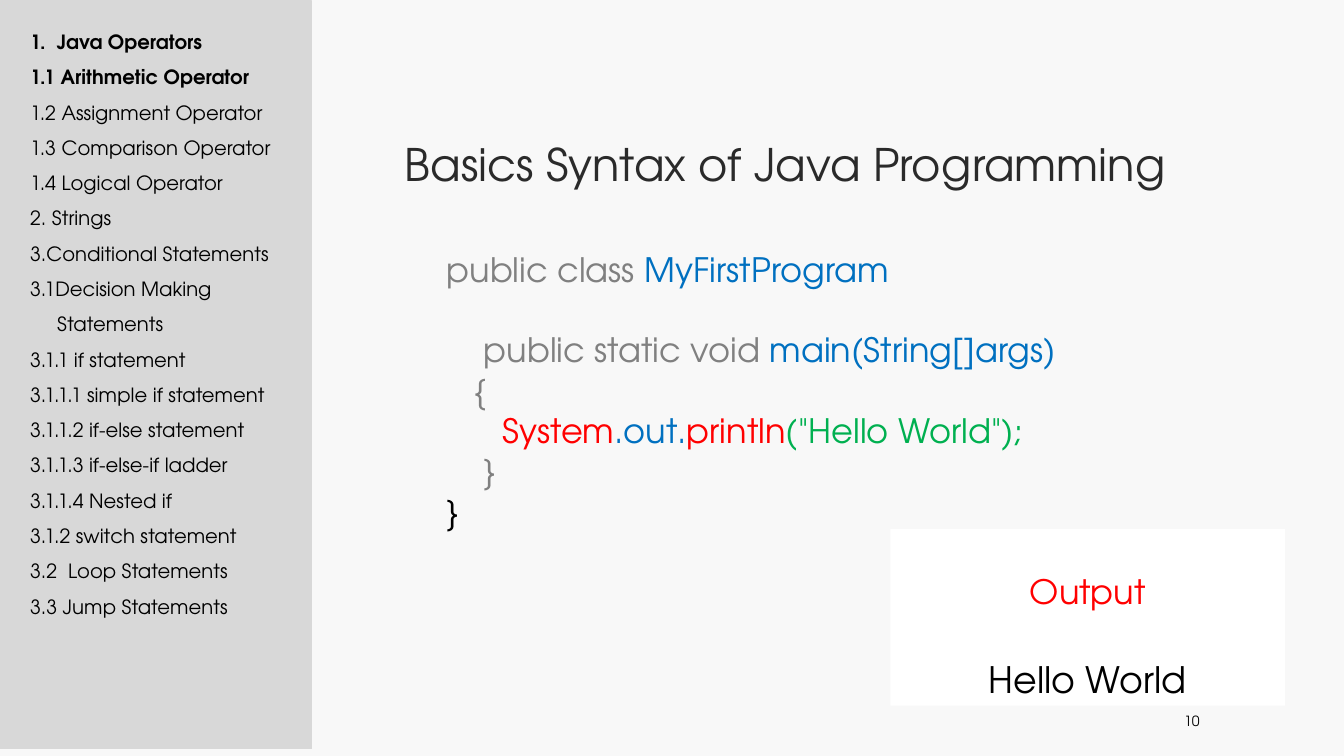
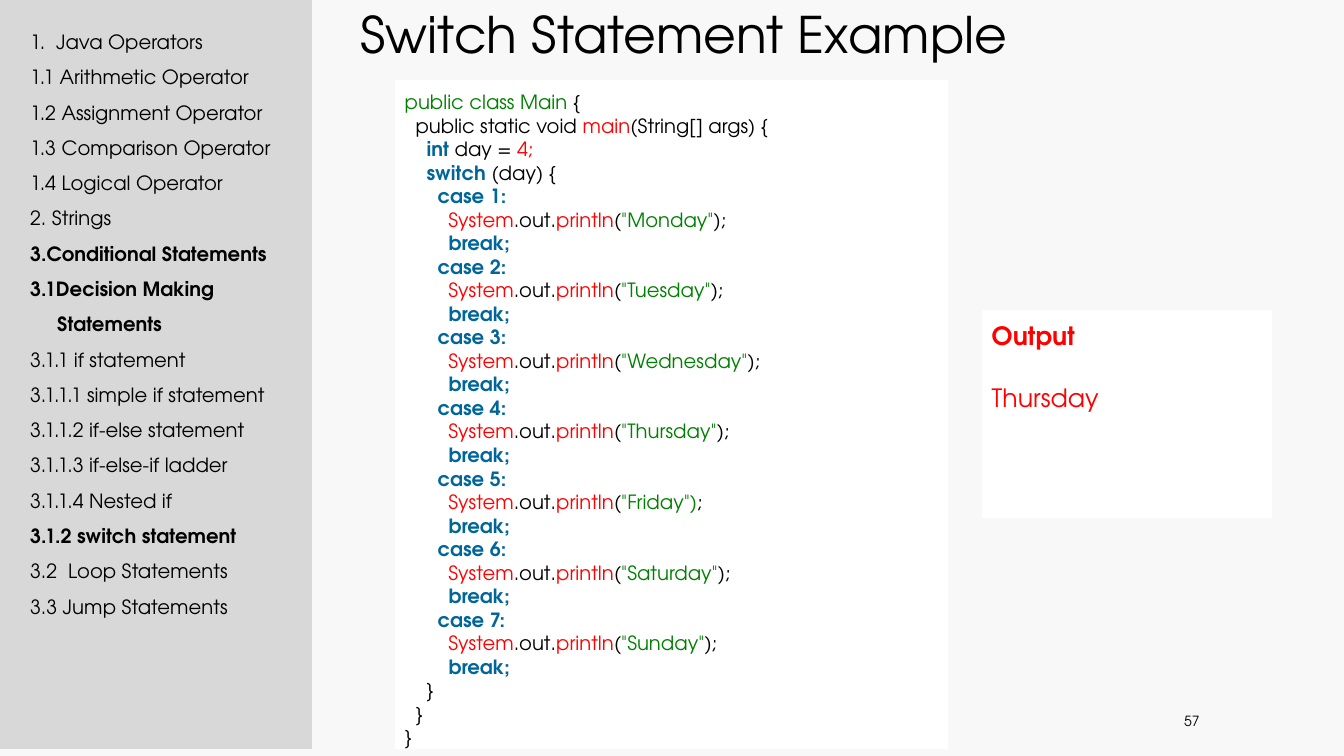
"""Builds two Java lesson slides with a shared topic sidebar."""
from dataclasses import dataclass

from pptx import Presentation
from pptx.dml.color import RGBColor
from pptx.enum.shapes import MSO_SHAPE
from pptx.enum.text import MSO_ANCHOR, MSO_AUTO_SIZE, PP_ALIGN
from pptx.util import Pt


@dataclass(frozen=True)
class Theme:
    font: str = "TeX Gyre Adventor"
    page: str = "F8F8F8"
    sidebar: str = "D8D8D8"
    panel: str = "FFFFFF"
    ink: str = "000000"
    heading: str = "2A2A2A"
    muted: str = "808080"
    blue: str = "0070C0"
    keyword: str = "006699"
    red: str = "FF0000"
    green: str = "00B050"
    string: str = "008000"
    small: float = 10
    body: float = 14
    result: float = 18
    code: float = 24
    output: float = 26
    title: float = 32
    big_title: float = 36


T = Theme()
TOPICS = [
    "1.  Java Operators", "1.1 Arithmetic Operator", "1.2 Assignment Operator",
    "1.3 Comparison Operator", "1.4 Logical Operator", "2. Strings",
    "3.Conditional Statements", "3.1Decision Making", "Statements",
    "3.1.1 if statement", "3.1.1.1 simple if statement",
    "3.1.1.2 if-else statement", "3.1.1.3 if-else-if ladder",
    "3.1.1.4 Nested if", "3.1.2 switch statement", "3.2  Loop Statements",
    "3.3 Jump Statements",
]
DAYS = [
    ('"Monday"', ");"), ('"Tuesday"', ");"), ('"Wednesday"', ");"),
    ('"Thursday"', ");"), ('"Friday")', ";"), ('"Saturday"', ");"),
    ('"Sunday"', ");"),
]


class Deck:
    """Holds the theme and the current slide, and adds elements to it."""

    def __init__(self, theme):
        self.t = theme
        self.prs = Presentation()
        self.prs.slide_width, self.prs.slide_height = Pt(960), Pt(540)

    def new_slide(self, number, active):
        self.s = self.prs.slides.add_slide(self.prs.slide_layouts[5])
        fill = self.s.background.fill
        fill.solid()
        fill.fore_color.rgb = RGBColor.from_string(self.t.page)
        self.panel((0, 0.7, 222.5, 534.3), self.t.sidebar, self.t.sidebar)
        self.topics(active)
        tf = self.text_box((774, 507.6, 90, 14.4))
        tf.vertical_anchor = MSO_ANCHOR.MIDDLE
        p = self.add_lines(tf, [[(str(number), self.t.ink)]], self.t.small)[0]
        p.alignment = PP_ALIGN.RIGHT

    def panel(self, at, color, line=None, inset=7.2):
        sp = self.s.shapes.add_shape(MSO_SHAPE.RECTANGLE, *map(Pt, at))
        sp.shadow.inherit = False
        sp.fill.solid()
        sp.fill.fore_color.rgb = RGBColor.from_string(color)
        if line:
            sp.line.color.rgb = RGBColor.from_string(line)
            sp.line.width = Pt(0.75)
        else:
            sp.line.fill.background()
        return self.frame(sp, inset)

    def text_box(self, at, inset=3.6):
        return self.frame(self.s.shapes.add_textbox(*map(Pt, at)), inset)

    def frame(self, sp, inset):
        tf = sp.text_frame
        tf.word_wrap = True
        tf.auto_size = MSO_AUTO_SIZE.NONE
        tf.vertical_anchor = MSO_ANCHOR.TOP
        tf.margin_left = tf.margin_right = Pt(7.2)
        tf.margin_top = tf.margin_bottom = Pt(inset)
        return tf

    def add_lines(self, tf, lines, size):
        for i, line in enumerate(lines):
            p = tf.add_paragraph() if i else tf.paragraphs[0]
            p.alignment = PP_ALIGN.LEFT
            for text, color, *bold in line:
                r = p.add_run()
                r.text = text
                r.font.name = self.t.font
                r.font.size = Pt(size)
                r.font.bold = bool(bold)
                r.font.color.rgb = RGBColor.from_string(color)
        return tf.paragraphs

    def title(self, text, at, size, color, spacing=1.0):
        sp = self.s.shapes.title
        sp.left, sp.top, sp.width, sp.height = map(Pt, at)
        tf = self.frame(sp, 3.6)
        tf.vertical_anchor = MSO_ANCHOR.BOTTOM
        p = self.add_lines(tf, [[(text, color)]], size)[0]
        p.line_spacing = spacing

    def topics(self, active):
        tf = self.text_box((14.4, 5.8, 195, 522.7), 7.2)
        lines = [[(topic, self.t.ink, True) if i in active else (topic, self.t.ink)]
                 for i, topic in enumerate(TOPICS)]
        for p in self.add_lines(tf, lines, self.t.body):
            p.line_spacing = 1.5
            if p.text == "Statements":
                p._p.get_or_add_pPr().set("marL", str(Pt(19.4)))


def syntax_slide(deck):
    deck.new_slide(10, {0, 1})
    deck.title("Basics Syntax of Java Programming", (282, 36, 582, 104.4),
               T.title, T.heading, 0.9)
    lines = [
        [("public class ", T.muted), ("MyFirstProgram", T.blue)],
        [("    public static void ", T.muted), ("main(String[]args)", T.blue)],
        [("   {", T.muted)],
        [("      ", T.muted), ("System", T.red), (".out.", T.blue),
         ("println", T.red), ('("Hello World");', T.green)],
        [("    }", T.muted)],
        [("}", T.ink)],
    ]
    ps = deck.add_lines(deck.text_box((312, 174, 612, 240)), lines, T.code)
    ps[1].space_before = Pt(28.8)

    tf = deck.panel((636, 378, 282, 126), T.panel, inset=3.6)
    tf.vertical_anchor = MSO_ANCHOR.BOTTOM
    ps = deck.add_lines(tf, [[("Output", T.red)], [("Hello World", T.ink)]], T.output)
    ps[0].runs[0].font.size = Pt(T.code)
    for p in ps:
        p.alignment = PP_ALIGN.CENTER
        p.line_spacing = 0.8
    ps[1].space_before = Pt(39)


def switch_slide(deck):
    deck.new_slide(57, {6, 7, 8, 14})
    deck.title("Switch Statement Example", (250, 0, 579, 49), T.big_title, T.ink)
    lines = [
        [("public class Main", T.string), (" {", T.ink)],
        [("  public static void ", T.ink), ("main", T.red), ("(String[] args) {", T.ink)],
        [("    int ", T.keyword, True), ("day = ", T.ink), ("4;", T.red)],
        [("    switch", T.keyword, True), (" (day) {", T.ink)],
    ]
    for number, (day, tail) in enumerate(DAYS, 1):
        lines += [
            [(f"      case {number}:", T.keyword, True)],
            [("        ", T.ink), ("System", T.red), (".out.", T.ink),
             ("println", T.red), ("(", T.ink), (day, T.string), (tail, T.ink)],
            [("        break;", T.keyword, True)],
        ]
    lines += [[(brace, T.ink)] for brace in ("    }", "  }", "}")]
    deck.add_lines(deck.panel((282, 57, 395.3, 478), T.panel), lines, T.body)

    tf = deck.panel((701.3, 221.8, 207.4, 148.3), T.panel)
    ps = deck.add_lines(tf, [[("Output", T.red, True)], [("Thursday", T.red)]], T.result)
    ps[1].line_spacing = 1.5
    ps[1].space_before = Pt(12)


def main():
    deck = Deck(T)
    syntax_slide(deck)
    switch_slide(deck)
    deck.prs.save("out.pptx")


if __name__ == "__main__":
    main()
